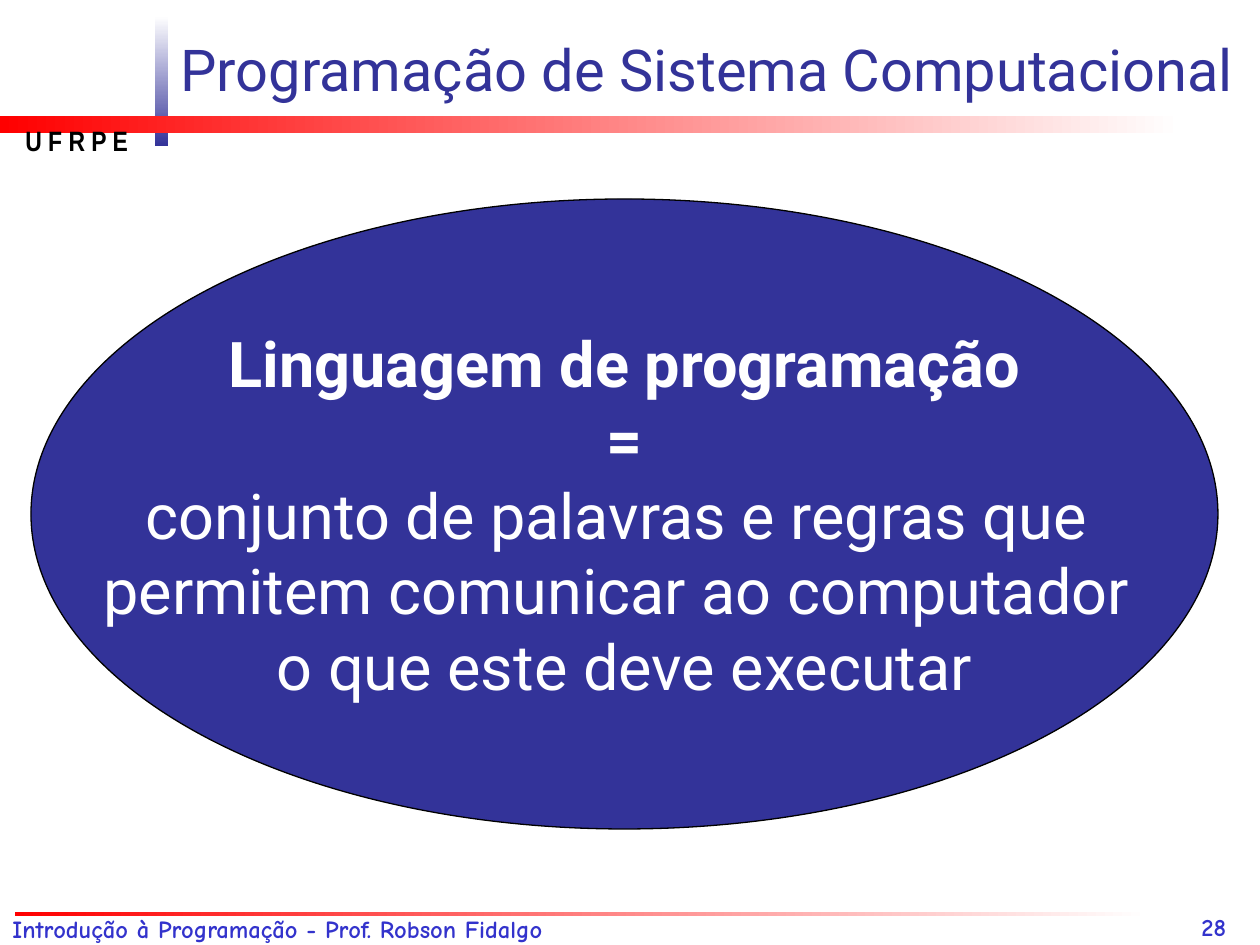
from dataclasses import dataclass

from pptx import Presentation
from pptx.dml.color import RGBColor
from pptx.enum.shapes import MSO_SHAPE
from pptx.enum.text import MSO_ANCHOR, PP_ALIGN
from pptx.util import Emu, Pt

RECT, OVAL = MSO_SHAPE.RECTANGLE, MSO_SHAPE.OVAL
TOP, MIDDLE, BOTTOM = MSO_ANCHOR.TOP, MSO_ANCHOR.MIDDLE, MSO_ANCHOR.BOTTOM
LEFT, CENTER = PP_ALIGN.LEFT, PP_ALIGN.CENTER
SCALE = 914400 / 126  # EMU per px
COLORS = {
    "white": "FFFFFF", "black": "000000", "red": "FF0000",
    "navy": "333399", "blue": "3333CC",
}


@dataclass
class Bar:
    box: tuple[int, int, int, int]
    color: str
    angle: int  # counter-clockwise, from white to the colour


@dataclass
class Label:
    box: tuple[int, int, int, int]
    text: str
    size: int
    font: str
    color: str
    bold: bool = True
    wrap: bool = True
    anchor: MSO_ANCHOR = TOP
    space: int = 0


def px(n: int) -> Emu:
    return Emu(round(n * SCALE))


def rgb(name: str) -> RGBColor:
    return RGBColor.from_string(COLORS[name])


def write(p, text: str, *, size: int, font: str, color: str,
          bold: bool = False, align: PP_ALIGN = LEFT) -> None:
    """Fill a paragraph, with a line break at each newline."""
    p.alignment = align
    for i, line in enumerate(text.split("\n")):
        if i:
            p.add_line_break()
        r = p.add_run()
        r.text = line
        r.font.size, r.font.name, r.font.bold = Pt(size), font, bold
        r.font.color.rgb = rgb(color)


def draw_bar(shapes, bar: Bar) -> None:
    sp = shapes.add_shape(RECT, *map(px, bar.box))
    sp.shadow.inherit = False
    sp.line.fill.background()
    sp.fill.gradient()
    sp.fill.gradient_angle = bar.angle
    for stop, color, position in zip(sp.fill.gradient_stops, ("white", bar.color), (0, 1)):
        stop.color.rgb = rgb(color)
        stop.position = position


def draw_label(shapes, label: Label) -> None:
    tf = shapes.add_textbox(*map(px, label.box)).text_frame
    tf.word_wrap = label.wrap
    tf.vertical_anchor = label.anchor
    p = tf.paragraphs[0]
    p.space_after = Pt(label.space)
    write(p, label.text, size=label.size, font=label.font,
          color=label.color, bold=label.bold)


def draw_definition(shapes) -> None:
    sp = shapes.add_shape(OVAL, px(31), px(199), px(1187), px(630))
    sp.shadow.inherit = False
    sp.fill.solid()
    sp.fill.fore_color.rgb = rgb("navy")
    sp.line.color.rgb = rgb("black")
    sp.line.width = Pt(0.75)
    tf = sp.text_frame
    tf.word_wrap = False
    tf.vertical_anchor = MIDDLE
    for i, (text, bold) in enumerate(DEFINITION):
        p = tf.add_paragraph() if i else tf.paragraphs[0]
        write(p, text, size=36, font="Roboto", color="white", bold=bold, align=CENTER)


BARS = [
    Bar((155, 16, 13, 130), "navy", 270),
    Bar((0, 116, 1182, 17), "red", 180),
    Bar((15, 912, 1134, 4), "red", 180),
]
LABELS = [
    Label((0, 908, 790, 43), "Introdução à Programação - Prof. Robson Fidalgo",
          14, "Comic Neue", "blue", space=5),
    Label((13, 117, 129, 47), "U F R P E", 16, "Arial Narrow", "black", wrap=False),
    Label((168, 23, 1092, 86), "Programação de Sistema Computacional",
          33, "Roboto", "navy", bold=False, anchor=BOTTOM),
    Label((1189, 885, 105, 63), "28", 14, "Comic Neue", "blue", anchor=BOTTOM),
]
DEFINITION = [
    ("Linguagem de programação", True),
    ("=", True),
    ("conjunto de palavras e regras que \npermitem comunicar ao computador \n"
     "o que este deve executar", False),
]


def main() -> None:
    prs = Presentation()
    prs.slide_width, prs.slide_height = px(1260), px(945)
    shapes = prs.slides.add_slide(prs.slide_layouts[6]).shapes

    # Header and footer bars
    for bar in BARS:
        draw_bar(shapes, bar)

    # Title, footer, school and page number
    for label in LABELS:
        draw_label(shapes, label)

    # Central definition
    draw_definition(shapes)

    prs.save("out.pptx")


if __name__ == "__main__":
    main()
